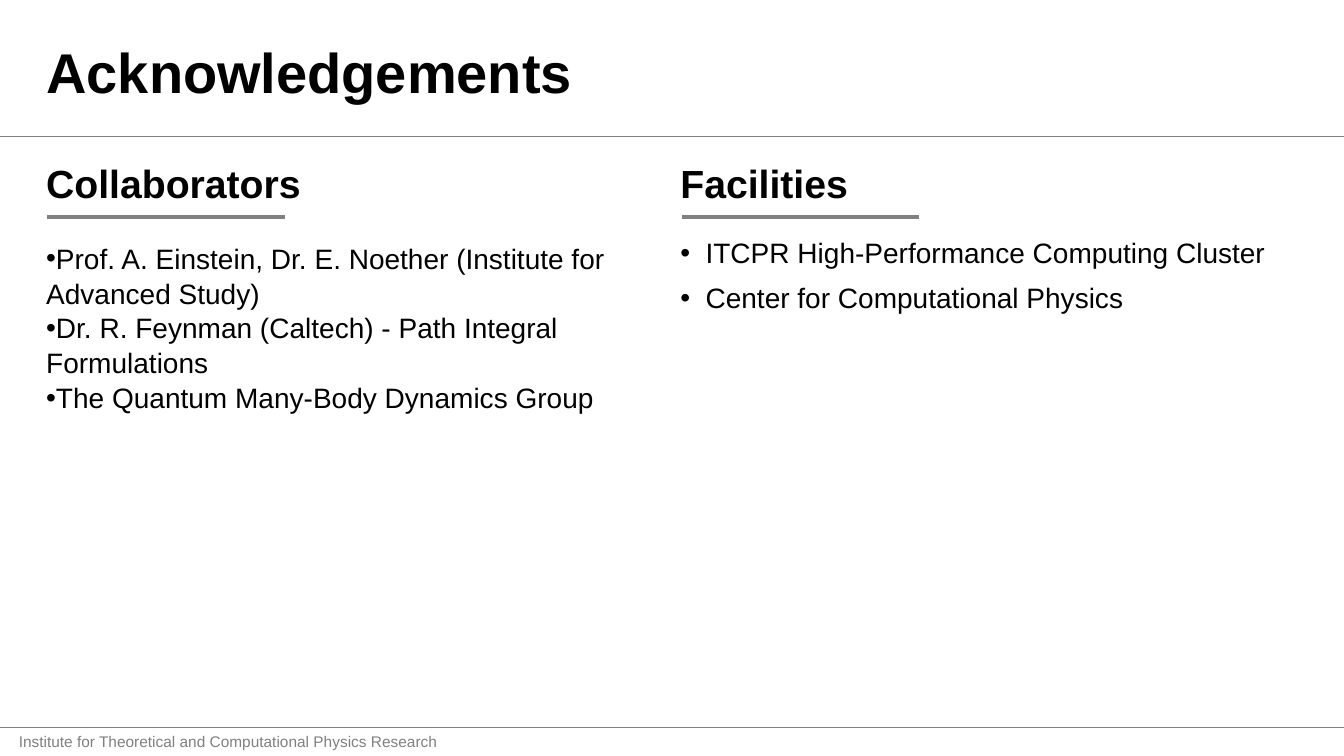
"""Build the acknowledgements slide."""
from pptx import Presentation
from pptx import util as u
from pptx.dml.color import RGBColor
from pptx.enum import shapes, text
from pptx.oxml.ns import qn
from lxml import etree

WIDTH, HEIGHT = 13.33, 7.5
FONT = "Arial"
COLORS = {"ink": "000000", "rule": "808080", "paper": "FFFFFF"}
COLUMN_LEFT, COLUMN_STEP, COLUMN_WIDTH = 0.36, 6.29, 6.04
INSET = 0.11
HEADING_TOP, HEADING_HEIGHT = 1.54, 0.61
LIST_TOP, LIST_HEIGHT = 2.33, 4.63
UNDERLINE_WIDTH = 2.36
TITLE_RULE, FOOTER_RULE = 1.35, 7.21
COLUMNS = [
    {
        "heading": "Collaborators",
        "items": [
            "Prof. A. Einstein, Dr. E. Noether (Institute for Advanced Study)",
            "Dr. R. Feynman (Caltech) - Path Integral Formulations",
            "The Quantum Many-Body Dynamics Group",
        ],
        "layout": {"indent": 0, "spacing": 1.04, "before": 0},
    },
    {
        "heading": "Facilities",
        "items": [
            "ITCPR High-Performance Computing Cluster",
            "Center for Computational Physics",
        ],
        "layout": {"indent": 0.25, "spacing": 0.9, "before": 10},
    },
]


def color(name):
    """Return the named colour."""
    return RGBColor.from_string(COLORS[name])


def add_run(paragraph, words, size, ink="ink", bold=False):
    """Add one formatted run to a paragraph."""
    run = paragraph.add_run()
    run.text = words
    run.font.name = FONT
    run.font.size = u.Pt(size)
    run.font.bold = bold
    run.font.color.rgb = color(ink)


def add_box(slide, left, top, width, height, wrap=True):
    """Add an empty text box and return its text frame."""
    box = slide.shapes.add_textbox(*map(u.Inches, (left, top, width, height)))
    box.text_frame.word_wrap = wrap
    return box.text_frame


def add_rule(slide, left, top, width, weight):
    """Add a horizontal grey line without shadow."""
    line = slide.shapes.add_connector(
        shapes.MSO_CONNECTOR.STRAIGHT,
        *map(u.Inches, (left, top, left + width, top)))
    line.line.color.rgb = color("rule")
    line.line.width = u.Pt(weight)
    etree.SubElement(line._element.spPr, qn("a:effectLst"))


def set_bullet(paragraph, indent):
    """Give a paragraph a bullet with a hanging indent in inches."""
    properties = paragraph._p.get_or_add_pPr()
    properties.set("marL", str(u.Inches(indent)))
    properties.set("indent", str(-u.Inches(indent)))
    etree.SubElement(properties, qn("a:buFont")).set("typeface", FONT)
    etree.SubElement(properties, qn("a:buChar")).set("char", "•")


def add_title(slide, words):
    """Place and format the title placeholder."""
    title = slide.shapes.title
    title.left, title.top, title.width, title.height = map(
        u.Inches, (COLUMN_LEFT, 0.02, 12.61, 1.45))
    title.text_frame.vertical_anchor = text.MSO_ANCHOR.MIDDLE
    paragraph = title.text_frame.paragraphs[0]
    paragraph.alignment = text.PP_ALIGN.LEFT
    paragraph.line_spacing = 0.9
    add_run(paragraph, words, 40, bold=True)


def add_list(slide, left, items, indent, spacing, before):
    """Add a bulleted list below a column heading."""
    frame = add_box(slide, left, LIST_TOP, COLUMN_WIDTH, LIST_HEIGHT)
    for index, item in enumerate(items):
        paragraph = frame.add_paragraph() if index else frame.paragraphs[0]
        paragraph.line_spacing = spacing
        paragraph.space_before = u.Pt(before)
        set_bullet(paragraph, indent)
        add_run(paragraph, item, 20)


def add_column(slide, left, heading, items, layout):
    """Add an underlined heading and its list."""
    add_list(slide, left, items, **layout)
    frame = add_box(slide, left, HEADING_TOP, COLUMN_WIDTH, HEADING_HEIGHT)
    frame.vertical_anchor = text.MSO_ANCHOR.MIDDLE
    paragraph = frame.paragraphs[0]
    paragraph.line_spacing = 0.9
    paragraph.space_before = u.Pt(10)
    add_run(paragraph, heading, 28, bold=True)
    add_rule(slide, left + INSET, HEADING_TOP + HEADING_HEIGHT,
             UNDERLINE_WIDTH, 3)


def add_footer(slide, words):
    """Add the institute name under the bottom rule."""
    frame = add_box(slide, -0.12, FOOTER_RULE, 4.77, HEIGHT - FOOTER_RULE,
                    wrap=False)
    paragraph = frame.paragraphs[0]
    paragraph.alignment = text.PP_ALIGN.CENTER
    add_run(paragraph, words, 11, "rule")
    add_rule(slide, 0, FOOTER_RULE, WIDTH, 0.25)


def main():
    """Build and save the slide."""
    presentation = Presentation()
    presentation.slide_width = u.Inches(WIDTH)
    presentation.slide_height = u.Inches(HEIGHT)
    slide = presentation.slides.add_slide(presentation.slide_layouts[5])
    slide.background.fill.solid()
    slide.background.fill.fore_color.rgb = color("paper")
    add_title(slide, "Acknowledgements")
    add_footer(slide, "Institute for Theoretical and Computational Physics Research")
    add_rule(slide, 0, TITLE_RULE, WIDTH, 0.25)
    for index, column in enumerate(COLUMNS):
        add_column(slide, COLUMN_LEFT + index * COLUMN_STEP, **column)
    presentation.save("out.pptx")


if __name__ == "__main__":
    main()
